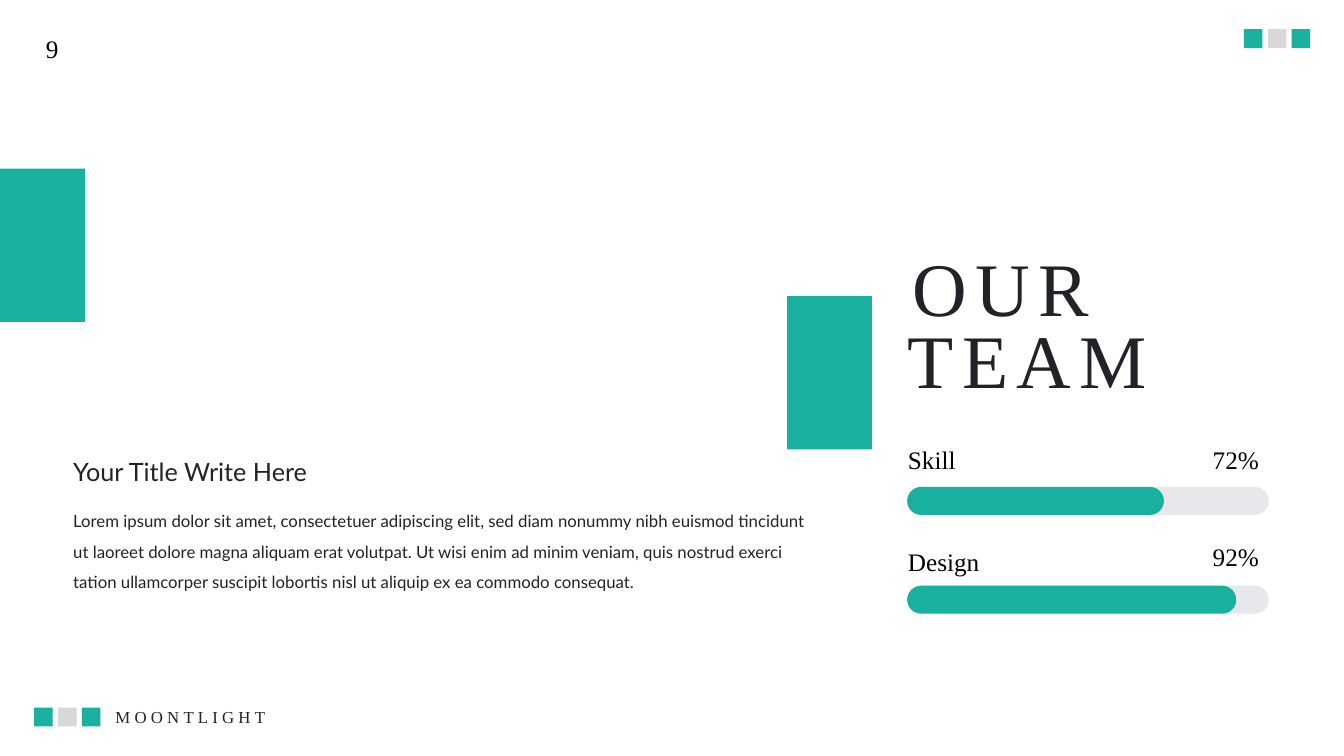
"""Builds the team slide with two skill bars."""
from pptx import Presentation
from pptx import util as u
from pptx.dml.color import RGBColor
from pptx.enum import shapes, text

TEAL, GREY, TRACK = "18B09E", "D8D8D8", "E7E8EB"
INK, BLACK = "222328", "000000"
SERIF, SANS = "Times New Roman", "Lato"
LEFT, RIGHT, JUSTIFY = text.PP_ALIGN.LEFT, text.PP_ALIGN.RIGHT, text.PP_ALIGN.JUSTIFY
RECT, PILL = shapes.MSO_SHAPE.RECTANGLE, shapes.MSO_SHAPE.ROUNDED_RECTANGLE


def colour(value):
    """Turns a hex string into a colour."""
    return RGBColor.from_string(value)


def add_block(page, box, fill, kind=RECT):
    """Adds a flat filled shape, fully rounded if it is a pill."""
    shape = page.shapes.add_shape(kind, *map(u.Pt, box))
    shape.shadow.inherit = False
    shape.fill.solid()
    shape.fill.fore_color.rgb = colour(fill)
    shape.line.fill.background()
    if kind == PILL:
        shape.adjustments[0] = 0.5


def add_text(page, box, words, size, font=SERIF, ink=INK, align=LEFT, tracking=0):
    """Adds a one-paragraph text box and returns its frame."""
    frame = page.shapes.add_textbox(*map(u.Pt, box)).text_frame
    frame.word_wrap = True
    para = frame.paragraphs[0]
    span = para.add_run()
    span.text = words
    para.alignment = align
    para.font.name, para.font.size = font, u.Pt(size)
    para.font.color.rgb = colour(ink)
    if tracking:
        span._r.get_or_add_rPr().set("spc", str(tracking * 100))
    return frame


def add_squares(page, left, top):
    """Adds the row of three small squares."""
    for index, fill in enumerate((TEAL, GREY, TEAL)):
        add_block(page, (left + index * 17.1, top, 13.2, 13.5), fill)


def add_page_frame(page, width, height):
    """Adds the corner squares, footer name and page number."""
    add_squares(page, 24.4, height - 34.6)
    add_squares(page, width - 71.5, 20.9)
    add_text(page, (75.4, height - 38.9, 128.2, 21.8), "MOONTLIGHT", 12, tracking=3)
    number = add_text(page, (16.6, 23.8, 49, 21.8), "9", 18, ink=BLACK)
    number.margin_left = u.Pt(16.2)
    number.margin_top = number.margin_bottom = 0


def add_story(page, left, top, width):
    """Adds the subtitle and the paragraph under it."""
    add_text(page, (left, top, 268.6, 29), "Your Title Write Here", 18, SANS)
    story = add_text(
        page, (left, top + 31.7, width, 70),
        "Lorem ipsum dolor sit amet, consectetuer adipiscing elit, sed diam nonummy "
        "nibh euismod tincidunt ut laoreet dolore magna aliquam erat volutpat. Ut wisi "
        "enim ad minim veniam, quis nostrud exerci tation ullamcorper suscipit lobortis "
        "nisl ut aliquip ex ea commodo consequat.", 12, SANS)
    story.paragraphs[0].line_spacing = 1.5


def add_title(page, left, top):
    """Adds the two-line heading."""
    add_text(page, (left + 3, top, 240.5, 72.7), "OUR", 54, tracking=6)
    add_text(page, (left, top + 51.5, 264.2, 72.7), "TEAM", 54, tracking=6)


def add_skill(page, box, name, value, share, name_rise, value_rise):
    """Adds a progress bar with its name and value above it."""
    left, top, width, height = box
    add_block(page, box, TRACK, PILL)
    add_block(page, (left, top, width * share, height), TEAL, PILL)
    label_width = 115.2
    labels = ((name, left - 6.5, name_rise, JUSTIFY),
              (value, left + width - label_width, value_rise, RIGHT))
    for words, label_left, rise, align in labels:
        label_box = (label_left, top - rise, label_width, 69.1)
        para = add_text(page, label_box, words, 18, ink=BLACK, align=align).paragraphs[0]
        para.line_spacing = u.Pt(13)
        para.space_before, para.space_after = u.Pt(10), u.Pt(12)


def main():
    """Builds the deck and saves it."""
    width, height = 960, 540
    deck = Presentation()
    deck.slide_width, deck.slide_height = u.Pt(width), u.Pt(height)
    page = deck.slides.add_slide(deck.slide_layouts[6])
    add_page_frame(page, width, height)
    add_story(page, 45.2, 322.6, 547.2)
    add_title(page, 641.5, 168.3)
    for left, top in ((0, 120.4), (562.2, 211.5)):
        add_block(page, (left, top, 60.7, 109.6), TEAL)
    add_skill(page, (648, 347.8, 258.3, 20), "Skill", "72%", 0.71, 25.2, 25.2)
    add_skill(page, (648, 418.4, 258.3, 20), "Design", "92%", 0.91, 23, 26.6)
    deck.save("out.pptx")


if __name__ == "__main__":
    main()
